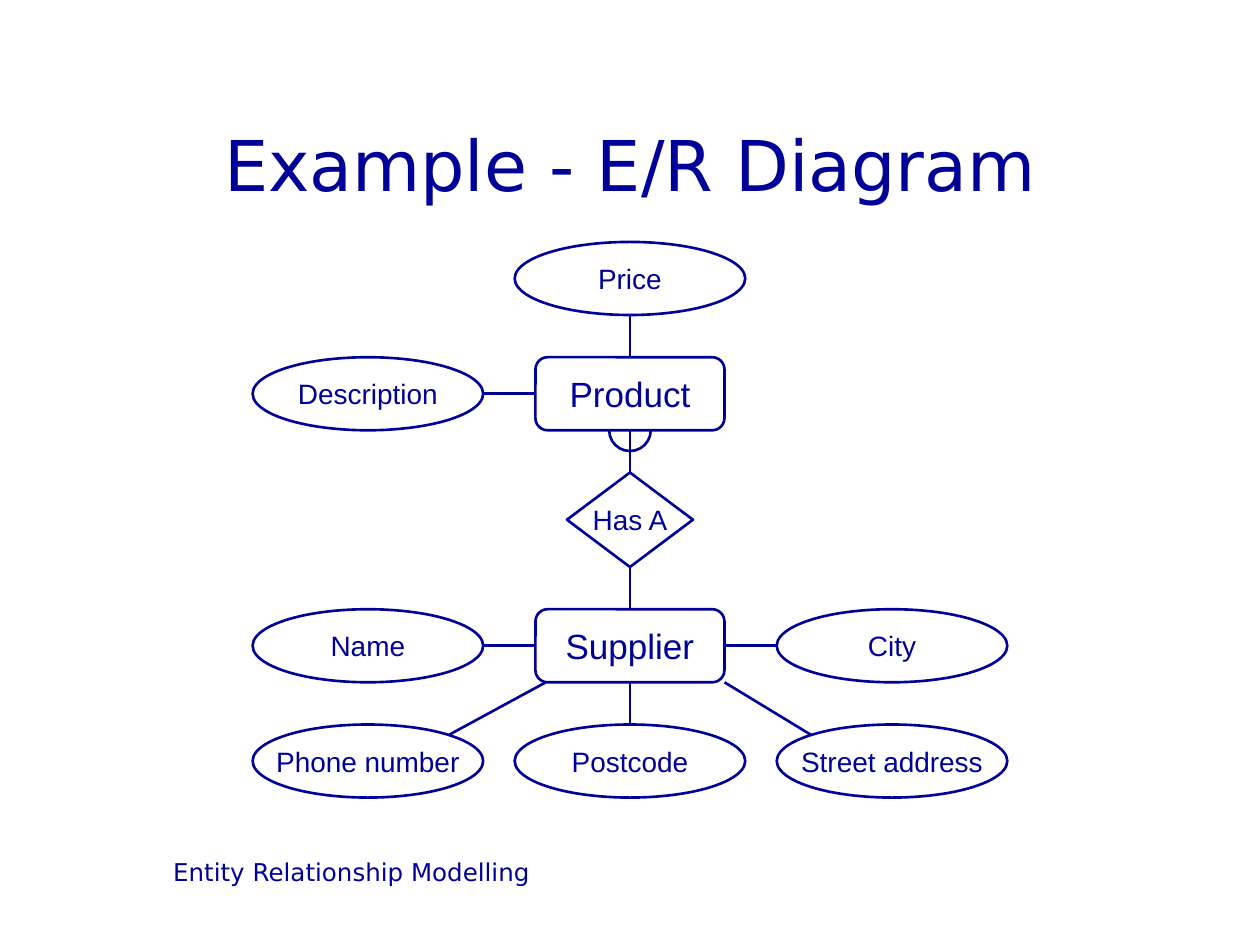
from pptx import Presentation
from pptx.dml.color import RGBColor
from pptx.enum.shapes import MSO_CONNECTOR, MSO_SHAPE
from pptx.enum.text import MSO_ANCHOR, PP_ALIGN
from pptx.oxml.ns import qn
from pptx.util import Inches, Pt
from lxml import etree

STRAIGHT = MSO_CONNECTOR.STRAIGHT
ELLIPSE, ENTITY, DIAMOND, ARC = (
    MSO_SHAPE.OVAL, MSO_SHAPE.ROUNDED_RECTANGLE, MSO_SHAPE.DIAMOND, MSO_SHAPE.ARC)
MIDDLE, TOP = MSO_ANCHOR.MIDDLE, MSO_ANCHOR.TOP
CENTER = PP_ALIGN.CENTER

THEME = {
    "ink": RGBColor(0x00, 0x00, 0x99),
    "line": Pt(1.5),
    "heading_font": "DejaVu Sans",
    "diagram_font": "Arial",
    "title": 40,
    "footer": 14,
}

TEXTS = [
    ("Entity Relationship Modelling", (0.75, 6.75, 4.08, 0.5), "footer", TOP),
    ("Example - E/R Diagram", (0.75, 0.67, 8.5, 1.25), "title", MIDDLE),
]

KINDS = {
    "entity": (ENTITY, 1.5, 0.58, 20),
    "attribute": (ELLIPSE, 1.83, 0.58, 16),
    "relationship": (DIAMOND, 1, 0.75, 16),
}
COLUMNS = {"left": 2.92, "middle": 5, "right": 7.08}
ROWS = {"price": 2.21, "product": 3.125, "relation": 4.125, "supplier": 5.125, "address": 6.04}

NODES = [
    ("Product", "entity", "middle", "product"),
    ("Supplier", "entity", "middle", "supplier"),
    ("Street address", "attribute", "right", "address"),
    ("City", "attribute", "right", "supplier"),
    ("Postcode", "attribute", "middle", "address"),
    ("Name", "attribute", "left", "supplier"),
    ("Phone number", "attribute", "left", "address"),
    ("Price", "attribute", "middle", "price"),
    ("Description", "attribute", "left", "product"),
    ("Has A", "relationship", "middle", "relation"),
]

ABOVE, BELOW, LEFT, RIGHT = (0, -1), (0, 1), (-1, 0), (1, 0)
LINKS = [
    ("Has A", BELOW, "Supplier", ABOVE),
    ("Has A", ABOVE, "Product", BELOW),
    ("Product", ABOVE, "Price", BELOW),
    ("Product", LEFT, "Description", RIGHT),
    ("Supplier", LEFT, "Name", RIGHT),
    ("Supplier", (-0.89, 1), "Phone number", (0.7, -0.71)),
    ("Supplier", BELOW, "Postcode", ABOVE),
    ("Supplier", RIGHT, "City", LEFT),
    ("Supplier", (1, 1), "Street address", (-0.7, -0.71)),
]
ARC_SIZE = 0.33


def write(shape, text, font_name, size, anchor, wrap):
    frame = shape.text_frame
    frame.text = text
    frame.word_wrap = wrap
    frame.vertical_anchor = anchor
    paragraph = frame.paragraphs[0]
    paragraph.alignment = CENTER
    font = paragraph.runs[0].font
    font.name = font_name
    font.size = Pt(size)
    font.color.rgb = THEME["ink"]


def outline(shape):
    shape.line.color.rgb = THEME["ink"]
    shape.line.width = THEME["line"]


def add_outlined(slide, preset, center, width, height):
    x, y = center
    shape = slide.shapes.add_shape(
        preset, Inches(x - width / 2), Inches(y - height / 2), Inches(width), Inches(height))
    shape.shadow.inherit = False
    shape.fill.background()
    outline(shape)
    return shape


def edge_point(node, direction):
    x, y, width, height = node
    return Inches(x + direction[0] * width / 2), Inches(y + direction[1] * height / 2)


def main():
    presentation = Presentation()
    presentation.slide_width, presentation.slide_height = Inches(10), Inches(7.5)
    slide = presentation.slides.add_slide(presentation.slide_layouts[6])

    for text, box, role, anchor in TEXTS:
        shape = slide.shapes.add_textbox(*map(Inches, box))
        write(shape, text, THEME["heading_font"], THEME[role], anchor, True)

    nodes = {}
    for label, kind, column, row in NODES:
        preset, width, height, size = KINDS[kind]
        x, y = COLUMNS[column], ROWS[row]
        shape = add_outlined(slide, preset, (x, y), width, height)
        write(shape, label, THEME["diagram_font"], size, MIDDLE, False)
        nodes[label] = (x, y, width, height)

    for start, start_side, end, end_side in LINKS:
        connector = slide.shapes.add_connector(
            STRAIGHT, *edge_point(nodes[start], start_side), *edge_point(nodes[end], end_side))
        outline(connector)
        etree.SubElement(connector._element.spPr, qn("a:effectLst"))

    x, y, width, height = nodes["Product"]
    arc = add_outlined(slide, ARC, (x, y + height / 2), ARC_SIZE, ARC_SIZE)
    arc.adjustments[0] = 0
    arc.adjustments[1] = 108

    presentation.save("out.pptx")


if __name__ == "__main__":
    main()
